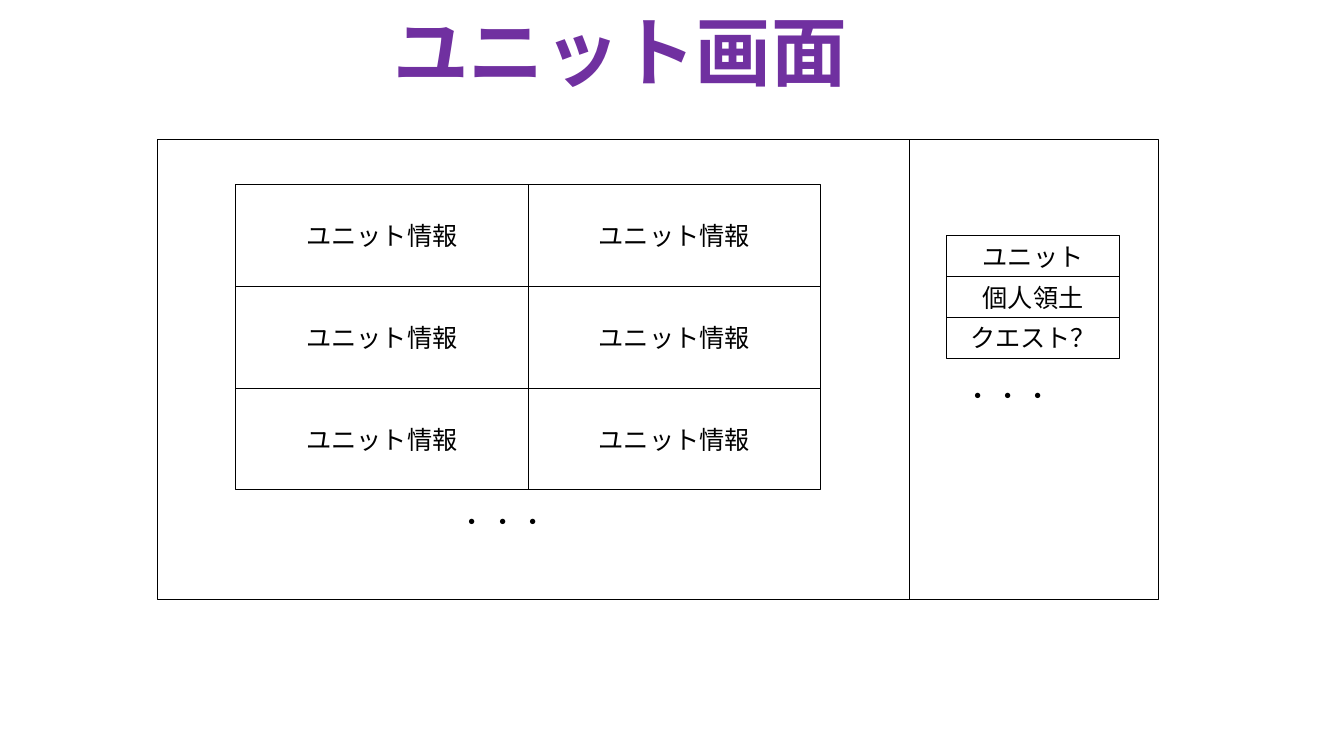
from dataclasses import dataclass, field
from itertools import product
from typing import Any

from lxml import etree
from pptx import Presentation, util as u
from pptx.dml import color
from pptx.enum import shapes, text
from pptx.oxml import ns

COLORS = {"title": "7030A0", "ink": "000000"}
FONT = "Calibri"
LABEL_FORMAT = {"name": FONT, "size": u.Pt(18), "bold": False}
TITLE_FORMAT = {"name": FONT, "size": u.Pt(54), "bold": True}
CENTERED = {"word_wrap": True, "vertical_anchor": text.MSO_ANCHOR.MIDDLE}
GROWING = {"word_wrap": True, "auto_size": text.MSO_AUTO_SIZE.SHAPE_TO_FIT_TEXT}


@dataclass(frozen=True)
class Area:
    left: float
    top: float
    width: float
    height: float

    def lengths(self) -> list[u.Length]:
        return [u.Pt(value) for value in (self.left, self.top, self.width, self.height)]


@dataclass(frozen=True)
class Panel:
    area: Area
    label: str = ""
    line_width: float = 0.75


@dataclass(frozen=True)
class Caption:
    area: Area
    label: str
    color_name: str = "ink"
    font_format: dict[str, Any] = field(default_factory=lambda: LABEL_FORMAT)
    vertical: bool = False


def apply_format(target: Any, values: dict[str, Any]) -> None:
    for name, value in values.items():
        setattr(target, name, value)


def rgb(name: str) -> color.RGBColor:
    return color.RGBColor.from_string(COLORS[name])


def write_label(box: Any, label: str, color_name: str, font_format: dict[str, Any]) -> Any:
    para = box.text_frame.paragraphs[0]
    span = para.add_run()
    span.text = label
    apply_format(span.font, font_format)
    span.font.color.rgb = rgb(color_name)
    return para


def draw_panel(page: Any, panel: Panel) -> None:
    box = page.shapes.add_shape(shapes.MSO_SHAPE.RECTANGLE, *panel.area.lengths())
    box.shadow.inherit = False
    box.fill.background()
    box.line.color.rgb = rgb("ink")
    box.line.width = u.Pt(panel.line_width)
    if panel.label:
        apply_format(box.text_frame, CENTERED)
        para = write_label(box, panel.label, "ink", LABEL_FORMAT)
        para.alignment = text.PP_ALIGN.CENTER


def draw_caption(page: Any, caption: Caption) -> None:
    box = page.shapes.add_textbox(*caption.area.lengths())
    apply_format(box.text_frame, GROWING)
    para = write_label(box, caption.label, caption.color_name, caption.font_format)
    if caption.vertical:
        box.text_frame._txBody.bodyPr.set("vert", "eaVert")
    else:
        para.alignment = text.PP_ALIGN.CENTER


def draw_divider(page: Any, left: float, top: float, bottom: float) -> None:
    divider = page.shapes.add_connector(
        shapes.MSO_CONNECTOR.STRAIGHT, u.Pt(left), u.Pt(top), u.Pt(left), u.Pt(bottom)
    )
    divider.line.color.rgb = rgb("ink")
    divider.line.width = u.Pt(0.5)
    etree.SubElement(divider._element.spPr, ns.qn("a:effectLst"))


deck = Presentation()
apply_format(deck, {"slide_width": u.Pt(960), "slide_height": u.Pt(540)})
page = deck.slides.add_slide(deck.slide_layouts[6])

screen = Area(112.5, 99.5, 715, 329)
unit = Area(168.5, 131.75, 208.75, 72.75)
menu = Area(676, 168.5, 124, 29.1)

unit_panels = [
    Panel(
        Area(unit.left + column * unit.width, unit.top + row * unit.height, unit.width, unit.height),
        "ユニット情報",
    )
    for row, column in product(range(3), range(2))
]
menu_panels = [
    Panel(Area(menu.left, menu.top + row * menu.height, menu.width, menu.height), label)
    for row, label in enumerate(("ユニット", "個人領土", "クエスト？"))
]
captions = [
    Caption(Area(273, 0, 340, 72.7), "ユニット画面", "title", TITLE_FORMAT),
    Caption(Area(719.25, 267, 36, 39), "・・・", vertical=True),
    Caption(Area(358.5, 357, 36, 39), "・・・", vertical=True),
]

draw_panel(page, Panel(screen, line_width=1))
draw_divider(page, 649.25, screen.top, screen.top + screen.height)
for panel in unit_panels + menu_panels:
    draw_panel(page, panel)
for caption in captions:
    draw_caption(page, caption)

deck.save("out.pptx")
